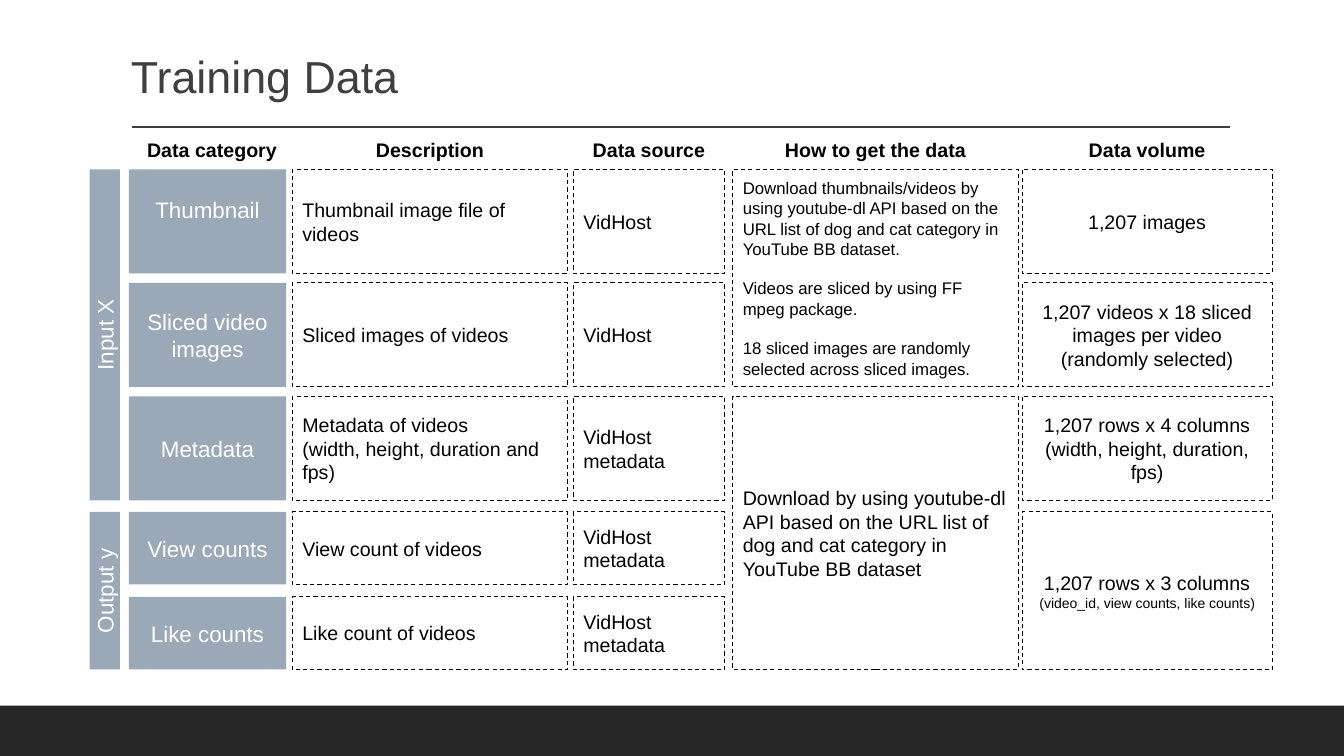
from pptx import Presentation
from pptx.dml.color import RGBColor
from pptx.enum.dml import MSO_LINE
from pptx.enum.shapes import MSO_CONNECTOR, MSO_SHAPE
from pptx.enum.text import MSO_ANCHOR as ANCHOR, MSO_AUTO_SIZE, PP_ALIGN as ALIGN
from pptx.oxml.ns import qn
from pptx.util import Cm, Pt
from lxml import etree

HUES = {"bar": "262626", "title": "3F3F3F", "label": "9BA8B7",
        "white": "FFFFFF", "black": "000000"}
FONT = "Arial"
WIDE, HIGH = 33.87, 19.05

# (left, width) of each column and (top, height) of each row, in cm
COLS = [(3.25, 3.96), (7.37, 6.93), (14.45, 3.81), (18.47, 7.19), (25.76, 6.3)]
ROWS = [(4.27 + 2.86 * i, 2.62) for i in range(3)] + [(12.9, 1.83), (15.04, 1.83)]
HEAD_SPANS = [(2.87, 4.95)] + COLS[1:]
HEADS = ["Data category", "Description", "Data source",
         "How to get the data", "Data volume"]
LABELS = ["Thumbnail", "Sliced video\vimages", "Metadata", "View counts", "Like counts"]
GROUPS = [("Input X", 0, 2), ("Output y", 3, 4)]

# (column, first row, last row, text, format)
MID = {"align": ALIGN.CENTER}
CELLS = [
    (1, 0, 0, "Thumbnail image file of videos", {}),
    (1, 1, 1, "Sliced images of videos", {}),
    (1, 2, 2, "Metadata of videos\n(width, height, duration and fps)", {}),
    (1, 3, 3, "View count of videos", {}),
    (1, 4, 4, "Like count of videos", {}),
    (2, 0, 0, "VidHost", {}),
    (2, 1, 1, "VidHost", {}),
    (2, 2, 2, "VidHost\nmetadata", {}),
    (2, 3, 3, "VidHost metadata", {}),
    (2, 4, 4, "VidHost metadata", {}),
    (3, 0, 1, "Download thumbnails/videos by using youtube-dl API based on the URL list "
              "of dog and cat category in YouTube BB dataset.\n"
              "Videos are sliced by using FF mpeg package.\n"
              "18 sliced images are randomly selected across sliced images.",
     {"size": 12, "gap": 14}),
    (3, 2, 4, "Download by using youtube-dl API based on the URL list of dog and cat "
              "category in YouTube BB dataset", {}),
    (4, 0, 0, "1,207 images", MID),
    (4, 1, 1, "1,207 videos x 18 sliced images per video (randomly selected)", MID),
    (4, 2, 2, "1,207 rows x 4 columns (width, height, duration, fps)", MID),
    (4, 3, 4, "1,207 rows x 3 columns ",
     {**MID, "tail": "(video_id, view counts, like counts)"}),
]


def hue(name):
    return RGBColor.from_string(HUES[name])


def write(shape, text, size=14, color="black", bold=False, align=ALIGN.LEFT,
          anchor=ANCHOR.MIDDLE, gap=0, tail="", pad=0.25, base=0.25, lead=None):
    """Fill a shape with text; tail is a smaller run, base the bottom inset."""
    frame = shape.text_frame
    frame.word_wrap = True
    frame.auto_size = MSO_AUTO_SIZE.NONE
    frame.vertical_anchor = anchor
    frame.margin_left = frame.margin_right = Cm(0.25)
    frame.margin_top, frame.margin_bottom = Cm(pad), Cm(base)
    frame.text = text
    for i, para in enumerate(frame.paragraphs):
        para.alignment = align
        para.line_spacing = lead
        if i and gap:
            para.space_before = Pt(gap)
        if tail:
            para.add_run().text = tail
        for run in para.runs:
            font = run.font
            font.name, font.bold = FONT, bold
            font.size = Pt(10 if run.text == tail else size)
            font.color.rgb = hue(color)


def rect(slide, box, fill=None, dash=False):
    shape = slide.shapes.add_shape(MSO_SHAPE.RECTANGLE, *map(Cm, box))
    shape.shadow.inherit = False
    if fill:
        shape.fill.solid()
        shape.fill.fore_color.rgb = hue(fill)
    else:
        shape.fill.background()
    if dash:
        shape.line.color.rgb = hue("black")
        shape.line.width = Pt(0.75)
        shape.line.dash_style = MSO_LINE.DASH
    else:
        shape.line.fill.background()
    return shape


def span(col, first, last):
    """Box of a column from its first to its last row."""
    left, width = COLS[col]
    top = ROWS[first][0]
    return left, top, width, sum(ROWS[last]) - top


def frame_page(slide, box):
    """Footer bar, title and the rule under it."""
    left, top, width, height = box
    rect(slide, (left, top + height - 1.27, width, 1.27), "bar")
    rule = slide.shapes.add_connector(
        MSO_CONNECTOR.STRAIGHT, Cm(left + 3.33), Cm(top + 3.2), Cm(left + 31), Cm(top + 3.2))
    rule.line.color.rgb = hue("title")
    rule.line.width = Pt(1)
    etree.SubElement(rule._element.spPr, qn("a:effectLst"))
    title = slide.shapes.title
    title.left, title.top = Cm(left + 3.05), Cm(top + 1.32)
    title.width, title.height = Cm(9.53), Cm(1.42)
    write(title, "Training Data", size=32, color="title", anchor=ANCHOR.BOTTOM,
          pad=0.13, base=0.13, lead=0.9)


def head_row(slide, top, height):
    for (left, width), name in zip(HEAD_SPANS, HEADS):
        box = slide.shapes.add_textbox(*map(Cm, (left, top, width, height)))
        write(box, name, bold=True, align=ALIGN.CENTER)


def side_bars(slide, left, width):
    """Upright bars that group the rows."""
    for name, first, last in GROUPS:
        _, top, _, long = span(0, first, last)
        x, y = left + (width - long) / 2, top + (long - width) / 2
        bar = rect(slide, (x, y, long, width), "label")
        bar.rotation = 270
        write(bar, name, size=16, color="white", align=ALIGN.CENTER)


def grid(slide):
    for row, name in enumerate(LABELS):
        label = rect(slide, span(0, row, row), "label")
        write(label, name, size=16, color="white", align=ALIGN.CENTER,
              base=0.25 if row else 0.87)
    for col, first, last, text, style in CELLS:
        write(rect(slide, span(col, first, last), dash=True), text, **style)


def main():
    deck = Presentation()
    deck.slide_width, deck.slide_height = Cm(WIDE), Cm(HIGH)
    slide = deck.slides.add_slide(deck.slide_layouts[5])
    frame_page(slide, (0, 0, WIDE, HIGH))
    head_row(slide, 3.38, 0.79)
    side_bars(slide, 2.26, 0.76)
    grid(slide)
    deck.save("out.pptx")


if __name__ == "__main__":
    main()
